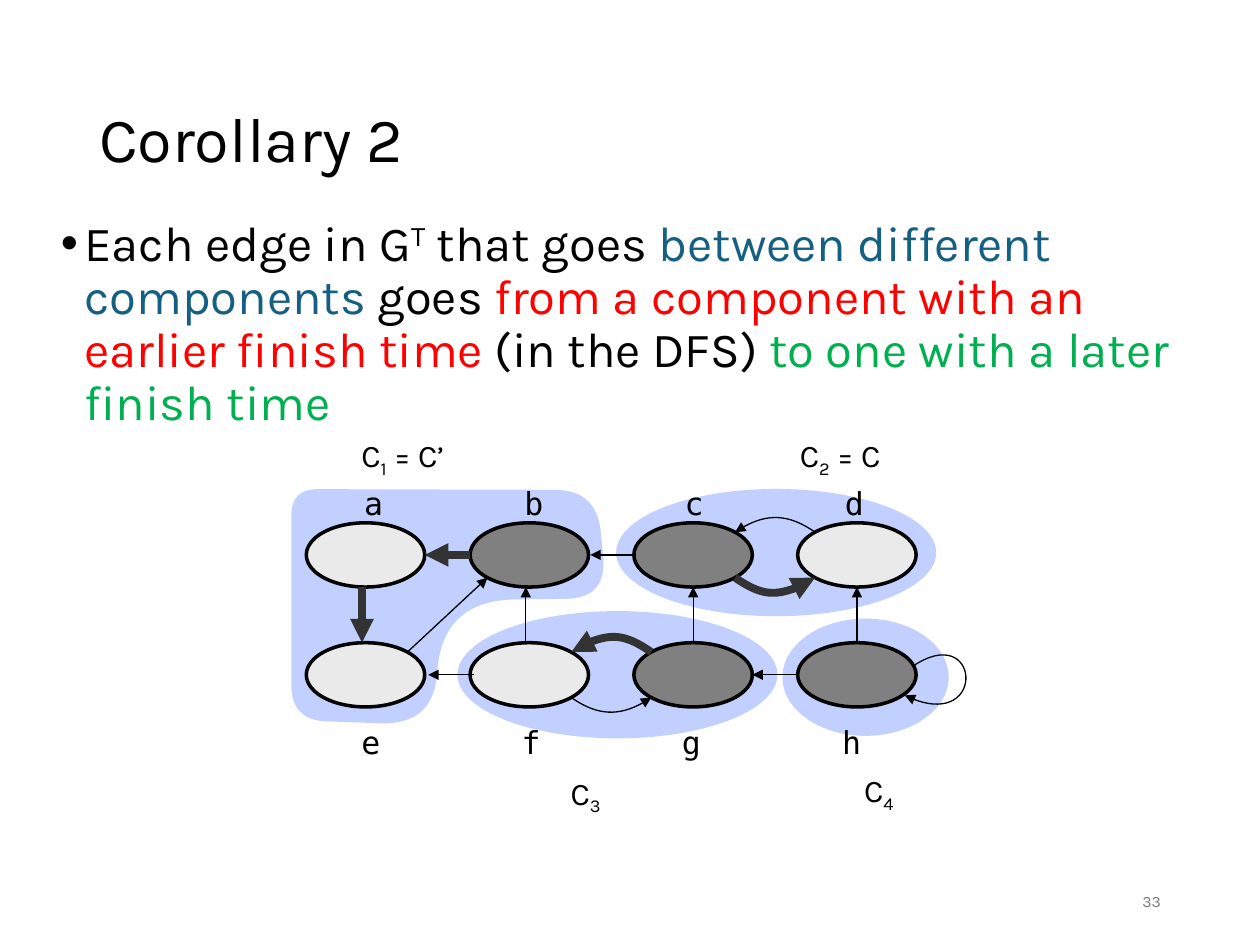
from dataclasses import dataclass
from math import copysign, dist, hypot

from lxml.etree import SubElement
from pptx import Presentation
from pptx.dml.color import RGBColor
from pptx.enum.shapes import MSO_CONNECTOR, MSO_SHAPE
from pptx.enum.text import MSO_ANCHOR, MSO_AUTO_SIZE, PP_ALIGN
from pptx.oxml.ns import qn
from pptx.util import Pt

SANS, MONO = "Karla", "DejaVu Sans Mono"
BLACK, INK, LIGHT, DARK, BLUE = "000000", "333333", "EAEAEA", "808080", "3366FF"
OVAL_W, OVAL_H = 67.7, 36.7
FIRST_X, STEP_X = 208.9, 93.6
LABEL_STEP, LABEL_W, LABEL_H = 91.6, 22, 28.8
THIN, BOLD = 0.75, 4.5
BOW = 10.7
UP, DOWN = -1, 1

Spot = tuple[float, float]


@dataclass
class Part:
    text: str
    color: str = BLACK
    base: int = 0


@dataclass
class Box:
    left: float
    top: float
    width: float
    height: float


@dataclass
class Row:
    names: str
    tones: list[str]
    mid: float
    label_left: float
    label_top: float


@dataclass
class Edge:
    tail: str
    tip: str
    width: float = THIN
    bow: int = 0
    shift: float = 0


@dataclass
class Corner:
    x: float
    y: float
    round: float


CLAIM = [
    Part("Each edge in G"),
    Part("T", base=30),
    Part(" that goes "),
    Part("between different components", "156082"),
    Part(" goes "),
    Part("from a component with an earlier finish time", "FF0000"),
    Part(" (in the DFS) "),
    Part("to one with a later finish time", "00B050"),
]
GROUPS = [
    Box(447.1, 353.5, 95, 67),
    Box(352.1, 279.4, 182.9, 72.7),
    Box(261.4, 349.2, 182.9, 72.7),
]
CORNERS = [
    Corner(166.5, 279.5, 15),
    Corner(341, 280, 24),
    Corner(347, 342, 24),
    Corner(251, 343, 44),
    Corner(249, 414.5, 32),
    Corner(166.5, 411.5, 20),
]
TITLES = [
    (Box(199.4, 245.5, 71.3, LABEL_H), "1", " = C’"),
    (Box(450, 245.5, 67.7, LABEL_H), "2", " = C"),
    (Box(319, 438.5, 33.8, LABEL_H), "3", ""),
    (Box(486.7, 437, 33.8, LABEL_H), "4", ""),
]
ROWS = [
    Row("abcd", [LIGHT, DARK, DARK, LIGHT], 317.1, 201, 272.9),
    Row("efgh", [LIGHT, LIGHT, DARK, DARK], 385.6, 199.4, 409.7),
]
EDGES = [
    Edge("b", "a", BOLD),
    Edge("c", "b", shift=1),
    Edge("f", "e", shift=2),
    Edge("h", "g"),
    Edge("a", "e", BOLD, shift=-2),
    Edge("f", "b", shift=-2),
    Edge("g", "c"),
    Edge("h", "d"),
    Edge("e", "b"),
    Edge("g", "f", BOLD, UP),
    Edge("d", "c", bow=UP),
    Edge("c", "d", BOLD, DOWN),
    Edge("f", "g", bow=DOWN),
]
LOOP = [(31.7, -4.7), (70, -31), (75, 35), (27.3, 11.8)]
CENTERS = {
    name: (FIRST_X + STEP_X * i, row.mid)
    for row in ROWS for i, name in enumerate(row.names)
}


def shade(code: str) -> RGBColor:
    return RGBColor.from_string(code)


def fill(shape, color: str, alpha: int = 100) -> None:
    shape.fill.solid()
    shape.fill.fore_color.rgb = shade(color)
    if alpha < 100:
        tone = next(shape._element.spPr.iter(qn("a:srgbClr")))
        SubElement(tone, qn("a:alpha")).set("val", str(alpha * 1000))


def place(shape, box: Box) -> None:
    shape.left, shape.top = Pt(box.left), Pt(box.top)
    shape.width, shape.height = Pt(box.width), Pt(box.height)


def style(para, size: float, font: str, parts: list[Part]) -> None:
    para.text = parts[0].text
    for part in parts[1:]:
        para.add_run().text = part.text
    for run, part in zip(para.runs, parts):
        run.font.size, run.font.name = Pt(size), font
        run.font.color.rgb = shade(part.color)
        if part.base:
            run.font._element.set("baseline", str(part.base * 1000))


def write(slide, box: Box, size: float, parts: list[Part], font: str = SANS, wrap: bool = False):
    shape = slide.shapes.add_textbox(0, 0, 0, 0)
    frame = shape.text_frame
    frame.word_wrap = wrap
    frame.auto_size = MSO_AUTO_SIZE.NONE if wrap else MSO_AUTO_SIZE.SHAPE_TO_FIT_TEXT
    style(frame.paragraphs[0], size, font, parts)
    place(shape, box)
    return frame


def oval(slide, box: Box, color: str, alpha: int = 100, rim: float = 0) -> None:
    shape = slide.shapes.add_shape(MSO_SHAPE.OVAL, 0, 0, 0, 0)
    place(shape, box)
    shape.shadow.inherit = False
    fill(shape, color, alpha)
    if rim:
        shape.line.width = Pt(rim)
        shape.line.color.rgb = shade(BLACK)
    else:
        shape.line.fill.background()


def curve(slide, spots: list[Spot], close: bool = False):
    start, *rest = [(Pt(x), Pt(y)) for x, y in spots]
    pen = slide.shapes.build_freeform(*start)
    pen.add_line_segments(rest, close=close)
    shape = pen.convert_to_shape()
    shape.shadow.inherit = False
    steps = list(shape._element.iter(qn("a:lnTo")))
    for i in range(0, len(steps), 3):
        bend = steps[i].getparent().makeelement(qn("a:cubicBezTo"))
        steps[i].addprevious(bend)
        for step in steps[i:i + 3]:
            bend.append(step[0])
            step.getparent().remove(step)
    return shape


def mix(a: Spot, b: Spot, part: float) -> Spot:
    return a[0] + (b[0] - a[0]) * part, a[1] + (b[1] - a[1]) * part


def outline(corners: list[Corner]) -> list[Spot]:
    spots = []
    for i, corner in enumerate(corners):
        peak = corner.x, corner.y
        sides = [(c.x, c.y) for c in (corners[i - 1], corners[(i + 1) % len(corners)])]
        start, end = (mix(peak, side, corner.round / dist(peak, side)) for side in sides)
        if spots:
            last = spots[-1]
            spots += [mix(last, start, 1 / 3), mix(last, start, 2 / 3)]
        spots += [start, mix(start, peak, 2 / 3), mix(end, peak, 2 / 3), end]
    return spots


def rim_spot(center: Spot, dx: float, dy: float) -> Spot:
    size = hypot(dx, dy)
    return center[0] + OVAL_W / 2 * dx / size, center[1] + OVAL_H / 2 * dy / size


def sign(gap: float) -> float:
    return copysign(1, gap) if gap else 0


def point(shape, width: float = THIN) -> None:
    shape.line.width = Pt(width)
    shape.line.color.rgb = shade(INK if width == BOLD else BLACK)
    line = shape._element.spPr.find(qn("a:ln"))
    SubElement(line, qn("a:tailEnd")).set("type", "triangle")


def arc(slide, spots: list[Spot], width: float = THIN) -> None:
    shape = curve(slide, spots)
    shape.fill.background()
    point(shape, width)


def join(slide, edge: Edge) -> None:
    tail, tip = CENTERS[edge.tail], CENTERS[edge.tip]
    dx, dy = sign(tip[0] - tail[0]), sign(tip[1] - tail[1])
    start = rim_spot(tail, dx, edge.bow or dy)
    end = rim_spot(tip, -dx, edge.bow or -dy)
    if edge.bow:
        bends = [(x, y + BOW * edge.bow) for x, y in (mix(start, end, k / 3) for k in (1, 2))]
        arc(slide, [start, *bends, end], edge.width)
        return
    line = slide.shapes.add_connector(
        MSO_CONNECTOR.STRAIGHT, Pt(start[0] + edge.shift), Pt(start[1]),
        Pt(end[0] + edge.shift), Pt(end[1]))
    point(line, edge.width)
    SubElement(line._element.spPr, qn("a:effectLst"))


def add_text(slide) -> None:
    title = slide.shapes.title
    place(title, Box(49.5, 28.8, 621, 104.4))
    title.text_frame.vertical_anchor = MSO_ANCHOR.MIDDLE
    head = title.text_frame.paragraphs[0]
    style(head, 36, SANS, [Part("Corollary 2")])
    head.alignment, head.line_spacing = PP_ALIGN.LEFT, 0.9

    claim = write(slide, Box(27.7, 121.7, 649, 179.3), 28, CLAIM, wrap=True).paragraphs[0]
    claim.line_spacing, claim.space_before = 0.9, Pt(7.5)
    props = claim._p.get_or_add_pPr()
    props.set("marL", str(Pt(13.5)))
    props.set("indent", str(Pt(-13.5)))
    SubElement(props, qn("a:buFont")).set("typeface", "Arial")
    SubElement(props, qn("a:buChar")).set("char", "•")

    page = write(slide, Box(508.5, 500.4, 162, 28.8), 9, [Part("33", "797979")], wrap=True)
    page.vertical_anchor = MSO_ANCHOR.MIDDLE
    page.paragraphs[0].alignment = PP_ALIGN.RIGHT


def add_groups(slide) -> None:
    blob = curve(slide, outline(CORNERS), close=True)
    fill(blob, BLUE, 30)
    blob.line.fill.background()
    for box in GROUPS:
        oval(slide, box, BLUE, 30)
    for box, sub, rest in TITLES:
        parts = [Part("C"), Part(sub, base=-25), Part(rest)]
        write(slide, box, 18, [part for part in parts if part.text])


def add_graph(slide) -> None:
    for row in ROWS:
        for i, (name, tone) in enumerate(zip(row.names, row.tones)):
            x, y = CENTERS[name]
            oval(slide, Box(x - OVAL_W / 2, y - OVAL_H / 2, OVAL_W, OVAL_H), tone, rim=2)
            label = Box(row.label_left + LABEL_STEP * i, row.label_top, LABEL_W, LABEL_H)
            write(slide, label, 18, [Part(name)], MONO)
    for edge in EDGES:
        join(slide, edge)
    x, y = CENTERS["h"]
    arc(slide, [(x + dx, y + dy) for dx, dy in LOOP])


def main() -> None:
    deck = Presentation()
    deck.slide_width, deck.slide_height = Pt(720), Pt(540)
    slide = deck.slides.add_slide(deck.slide_layouts[5])
    add_text(slide)
    add_groups(slide)
    add_graph(slide)
    deck.save("out.pptx")


if __name__ == "__main__":
    main()
